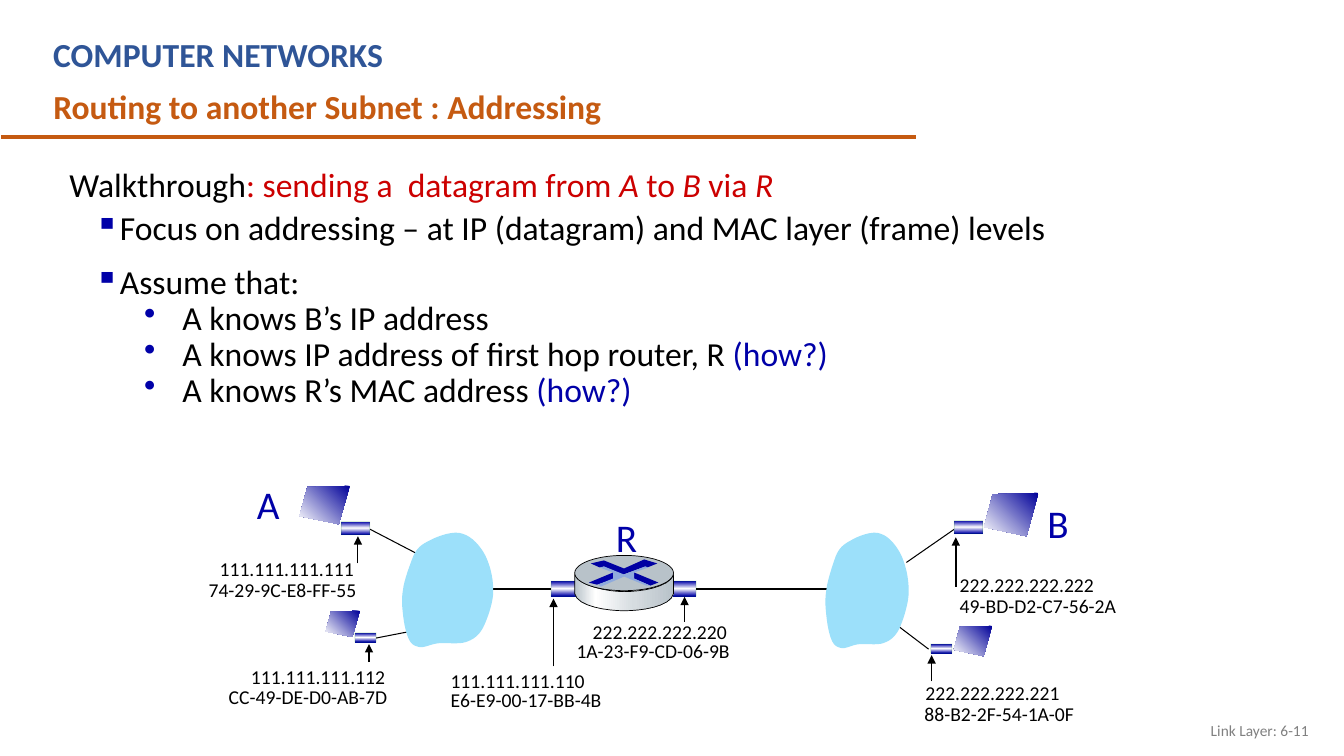
from dataclasses import dataclass
from typing import NamedTuple

from lxml.etree import SubElement
from pptx import Presentation
from pptx.dml.color import RGBColor
from pptx.enum.shapes import MSO_CONNECTOR as Connector, MSO_SHAPE as Preset
from pptx.enum.text import MSO_ANCHOR as Anchor, MSO_AUTO_SIZE as AutoSize, PP_ALIGN as Align
from pptx.oxml.ns import qn
from pptx.util import Cm, Pt

BLUE, BLACK, RED, ORANGE, ROUTER_GREY = "0000A8", "000000", "CC0000", "C55A11", "B8C2C9"
Point = tuple[float, float]


class Box(NamedTuple):
    left: float
    top: float
    width: float
    height: float


class Run(NamedTuple):
    text: str
    color: str = BLACK
    italic: bool = False
    bold: bool = False


class Bullet(NamedTuple):
    symbol: str
    level: int
    margin: float
    hanging: float
    before: float


@dataclass
class Host:
    monitor: Box
    card: Box


@dataclass
class Address:
    ip: str
    ip_at: Point
    mac: str
    mac_at: Point
    mac_width: float
    pointer: tuple[Point, Point]
    weight: float = 0.75


SQUARE = Bullet("▪", 1, 0.5, 0.25, 5)
DOT = Bullet("•", 2, 1.12, 0.38, 0)
CARD_STOPS = [(0, BLUE), (50, "FFFFFF"), (99, BLUE)]
SCREEN_STOPS = [(0, "000099"), (100, "FFFFFF")]
BODY_STOPS = [(0, ROUTER_GREY), (21, "FFFFFF"), (60, "D6DCE0"), (100, ROUTER_GREY)]

HOSTS = [
    Host(Box(2.97, 4.82, 0.5, 0.38), Box(3.46, 5.1, 0.13, 0.28)),
    Host(Box(3.23, 6.06, 0.34, 0.26), Box(3.58, 6.22, 0.09, 0.21)),
    Host(Box(9.76, 4.89, 0.54, 0.43), Box(9.54, 5.09, 0.13, 0.28)),
    Host(Box(9.46, 6.21, 0.38, 0.3), Box(9.29, 6.33, 0.09, 0.21)),
]
ADDRESSES = [
    Address("111.111.111.111", (2.08, 5.48), "74-29-9C-E8-FF-55", (1.97, 5.68), 1.68, ((3.55, 5.59), (3.55, 5.32))),
    Address("111.111.111.112", (2.39, 6.55), "CC-49-DE-D0-AB-7D", (2.17, 6.75), 1.79, ((3.66, 6.57), (3.66, 6.39))),
    Address("111.111.111.110", (4.37, 6.59), "E6-E9-00-17-BB-4B", (4.37, 6.78), 1.71, ((5.49, 6.61), (5.49, 5.94))),
    Address("222.222.222.220", (5.78, 6.1), "1A-23-F9-CD-06-9B", (5.62, 6.29), 1.73, ((6.79, 6.17), (6.79, 5.92))),
    Address("222.222.222.222", (9.42, 5.63), "49-BD-D2-C7-56-2A", (9.42, 5.84), 1.77, ((9.48, 5.82), (9.48, 5.33)), 1),
    Address("222.222.222.221", (9.08, 6.71), "88-B2-2F-54-1A-0F", (9.07, 6.91), 1.7, ((9.24, 6.76), (9.24, 6.5)), 1),
]
LINKS = [((3.65, 5.24), (4.13, 5.49)), ((3.73, 6.33), (4.04, 6.27)),
         ((8.99, 5.58), (9.48, 5.24)), ((9.21, 6.44), (8.92, 6.22))]

# Outlines as fractions of their box
SCREEN = [(1, 0), (0.16, 0.03), (0, 0.79), (0.78, 1)]
CLOUD_START = (0.3, 0.09)
CLOUD_CURVES = [
    ((0.22, 0.12), (0.17, 0.15), (0.13, 0.22)), ((0.09, 0.3), (0.03, 0.43), (0.02, 0.5)),
    ((0, 0.59), (0.01, 0.65), (0.02, 0.72)), ((0.03, 0.79), (0.05, 0.87), (0.08, 0.92)),
    ((0.11, 0.97), (0.14, 0.98), (0.19, 0.99)), ((0.25, 1), (0.3, 0.97), (0.39, 0.96)),
    ((0.47, 0.95), (0.61, 0.97), (0.69, 0.95)), ((0.77, 0.93), (0.83, 0.9), (0.88, 0.83)),
    ((0.92, 0.77), (0.98, 0.64), (0.99, 0.55)), ((1, 0.44), (0.97, 0.32), (0.91, 0.22)),
    ((0.86, 0.14), (0.76, 0.05), (0.66, 0.03)), ((0.57, 0), (0.39, 0.05), CLOUD_START),
]

# Router outlines in slide coordinates
BODY_CURVES = [
    ((6.65, 6.02), (6.36, 6.06), (6.19, 6.06)), ((6.03, 6.06), (5.73, 6.02), (5.7, 5.89)),
    ((5.7, 5.84), (5.7, 5.75), (5.7, 5.7)), ((5.74, 5.81), (6.02, 5.87), (6.19, 5.87)),
    ((6.35, 5.87), (6.64, 5.83), (6.68, 5.7)),
]
ROUTER_MARKS = [
    ("0000A3", [(6.39, 5.55), (6.52, 5.59), (6.42, 5.63), (6.4, 5.62), (6.18, 5.7), (5.99, 5.62),
                (5.95, 5.63), (5.86, 5.59), (5.99, 5.56), (6.19, 5.64)]),
    ("0000A3", [(6.29, 5.68), (6.53, 5.78), (6.45, 5.81), (6.29, 5.74)]),
    (BLUE, [(6.08, 5.68), (6.08, 5.75), (5.92, 5.8), (5.84, 5.78)]),
    ("8FAADC", [(5.95, 5.63), (5.99, 5.62), (6.19, 5.7), (6.4, 5.62), (6.43, 5.63), (6.29, 5.68), (6.29, 5.74),
                (6.45, 5.81), (6.41, 5.81), (6.19, 5.72), (5.96, 5.82), (5.93, 5.8), (6.08, 5.74), (6.08, 5.68)]),
]

presentation = Presentation()


def length(inches: float) -> Cm:
    return Cm(inches * 2.54)


def rgb(color: str) -> RGBColor:
    return RGBColor.from_string(color)


presentation.slide_width, presentation.slide_height = length(13.33), length(7.5)
slide = presentation.slides.add_slide(presentation.slide_layouts[6])


def add_text(box: Box, *paragraphs: tuple[list[Run], Bullet | None], size: float = 24,
             wrap: bool = False, grow: bool = True, spacing: float | None = None):
    shape = slide.shapes.add_textbox(*map(length, box))
    frame = shape.text_frame
    frame.word_wrap = wrap
    frame.auto_size = AutoSize.SHAPE_TO_FIT_TEXT if grow else AutoSize.NONE
    for index, (runs, bullet) in enumerate(paragraphs):
        paragraph = frame.add_paragraph() if index else frame.paragraphs[0]
        if spacing:
            paragraph.line_spacing = spacing
        if bullet:
            paragraph.level = bullet.level
            paragraph.space_before = Pt(bullet.before if index else 0)
            properties = paragraph._p.get_or_add_pPr()
            properties.set("marL", str(length(bullet.margin)))
            properties.set("indent", str(-length(bullet.hanging)))
            tint = SubElement(properties, qn("a:buClr"))
            SubElement(tint, qn("a:srgbClr"), val=BLUE)
            SubElement(properties, qn("a:buChar"), char=bullet.symbol)
        for text, color, italic, bold in runs:
            run = paragraph.add_run()
            run.text = text
            run.font.name, run.font.size = "Calibri", Pt(size)
            run.font.italic, run.font.bold = italic, bold
            run.font.color.rgb = rgb(color)
    return shape


def add_line(start: Point, end: Point, weight: float = 0.75, color: str = BLACK, arrow: bool = False) -> None:
    line = slide.shapes.add_connector(Connector.STRAIGHT, *map(length, start + end))
    line.line.color.rgb, line.line.width = rgb(color), Pt(weight)
    if arrow:
        SubElement(line.line._get_or_add_ln(), qn("a:tailEnd"), type="triangle")
    SubElement(line._element.spPr, qn("a:effectLst"))


def paint(shape, fill: str | list[tuple[int, str]], angle: int = 0, outline: str | None = None) -> None:
    shape.shadow.inherit = False
    if isinstance(fill, str):
        shape.fill.solid()
        shape.fill.fore_color.rgb = rgb(fill)
    else:
        shape.fill.gradient()
        shape.fill.gradient_angle = -angle % 360
        stops = shape._element.spPr.find(qn("a:gradFill")).find(qn("a:gsLst"))
        stops[:] = []
        for position, color in fill:
            stop = SubElement(stops, qn("a:gs"), pos=str(position * 1000))
            SubElement(stop, qn("a:srgbClr"), val=color)
    if outline:
        shape.line.color.rgb, shape.line.width = rgb(outline), Pt(0.5)
    else:
        shape.line.fill.background()


def add_outline(points: list[Point]):
    corners = [(length(x), length(y)) for x, y in points]
    builder = slide.shapes.build_freeform(*corners[0])
    builder.add_line_segments(corners[1:], close=True)
    return builder.convert_to_shape()


def fit(box: Box, points: list[Point]) -> list[Point]:
    return [(box.left + x * box.width, box.top + y * box.height) for x, y in points]


def trace(start: Point, curves: list[tuple[Point, Point, Point]], steps: int = 8) -> list[Point]:
    points = [start]
    for first, second, end in curves:
        anchors = (points[-1], first, second, end)
        for t in (step / steps for step in range(1, steps + 1)):
            weights = ((1 - t) ** 3, 3 * t * (1 - t) ** 2, 3 * t * t * (1 - t), t ** 3)
            x, y = (sum(w * a[axis] for w, a in zip(weights, anchors)) for axis in (0, 1))
            points.append((x, y))
    return points


def add_card(box: Box) -> None:
    card = slide.shapes.add_shape(Preset.RECTANGLE, *map(length, box))
    card.rotation = 90
    paint(card, CARD_STOPS)
    card.line.color.rgb, card.line.width = rgb("008000"), Pt(0.75)
    tint = card.line._get_or_add_ln().find(qn("a:solidFill"))[0]
    SubElement(tint, qn("a:alpha"), val="15000")


# Header and footer
add_text(Box(0.43, 0.29, 8.2, 0.5), ([Run("COMPUTER NETWORKS", "2F5597", bold=True)], None), wrap=True)
add_text(Box(0.43, 0.8, 5.69, 0.5), ([Run("Routing to another Subnet : Addressing", ORANGE, bold=True)], None))
add_line((0.01, 1.36), (9.09, 1.36), 3, ORANGE)
footer = add_text(Box(10.08, 7.05, 3, 0.4), ([Run("Link Layer: 6-11", "808080")], None), size=11, wrap=True, grow=False)
footer.text_frame.vertical_anchor = Anchor.MIDDLE
footer.text_frame.paragraphs[0].alignment = Align.RIGHT

# Walkthrough text
walkthrough = [Run("Walkthrough"), Run(": sending a  datagram from ", RED), Run("A", RED, True),
               Run(" to ", RED), Run("B", RED, True), Run(" via ", RED), Run("R", RED, True)]
focus = [Run("Focus on addressing – at IP (datagram) and MAC layer (frame) levels")]
how = Run("(how?)", BLUE)
add_text(Box(0.59, 1.62, 11.85, 1.31), (walkthrough, None), (focus, SQUARE), wrap=True, grow=False, spacing=0.9)
add_text(Box(0.59, 2.58, 11.15, 1.73), ([Run("Assume that:")], SQUARE), ([Run("A knows B’s IP address")], DOT),
         ([Run("A knows IP address of first hop router, R "), how], DOT),
         ([Run("A knows R’s MAC address "), how], DOT), wrap=True, grow=False, spacing=0.9)

# Links and subnets
add_line((4.7, 5.84), (8.23, 5.84), 1.25)
for link in LINKS:
    add_line(*link)
for subnet in (Box(3.98, 5.26, 0.92, 1.17), Box(8.18, 5.26, 0.84, 1.18)):
    paint(add_outline(fit(subnet, trace(CLOUD_START, CLOUD_CURVES))), "9CE0FA")

# Router
for card_left in (6.69, 5.53):
    add_card(Box(card_left, 5.7, 0.15, 0.28))
paint(add_outline([(6.68, 5.7)] + trace((6.68, 5.89), BODY_CURVES)), BODY_STOPS, outline=BLACK)
router_top = slide.shapes.add_shape(Preset.OVAL, *map(length, Box(5.7, 5.51, 0.98, 0.35)))
paint(router_top, ROUTER_GREY, outline=BLACK)
for mark_color, mark in ROUTER_MARKS:
    paint(add_outline(mark), mark_color)

# Hosts
for host in HOSTS:
    add_card(host.card)
    paint(add_outline(fit(host.monitor, SCREEN)), SCREEN_STOPS, angle=135)
for name, left, top in (("A", 2.45, 4.72), ("R", 6.01, 5.04), ("B", 10.29, 4.9)):
    add_text(Box(left, top, 0.42, 0.57), ([Run(name, BLUE)], None), size=28)

# Interface addresses
for address in ADDRESSES:
    add_text(Box(*address.ip_at, 1.55, 0.34), ([Run(address.ip)], None), size=14)
    add_text(Box(*address.mac_at, address.mac_width, 0.34), ([Run(address.mac)], None), size=14)
    add_line(*address.pointer, address.weight, arrow=True)

presentation.save("out.pptx")
